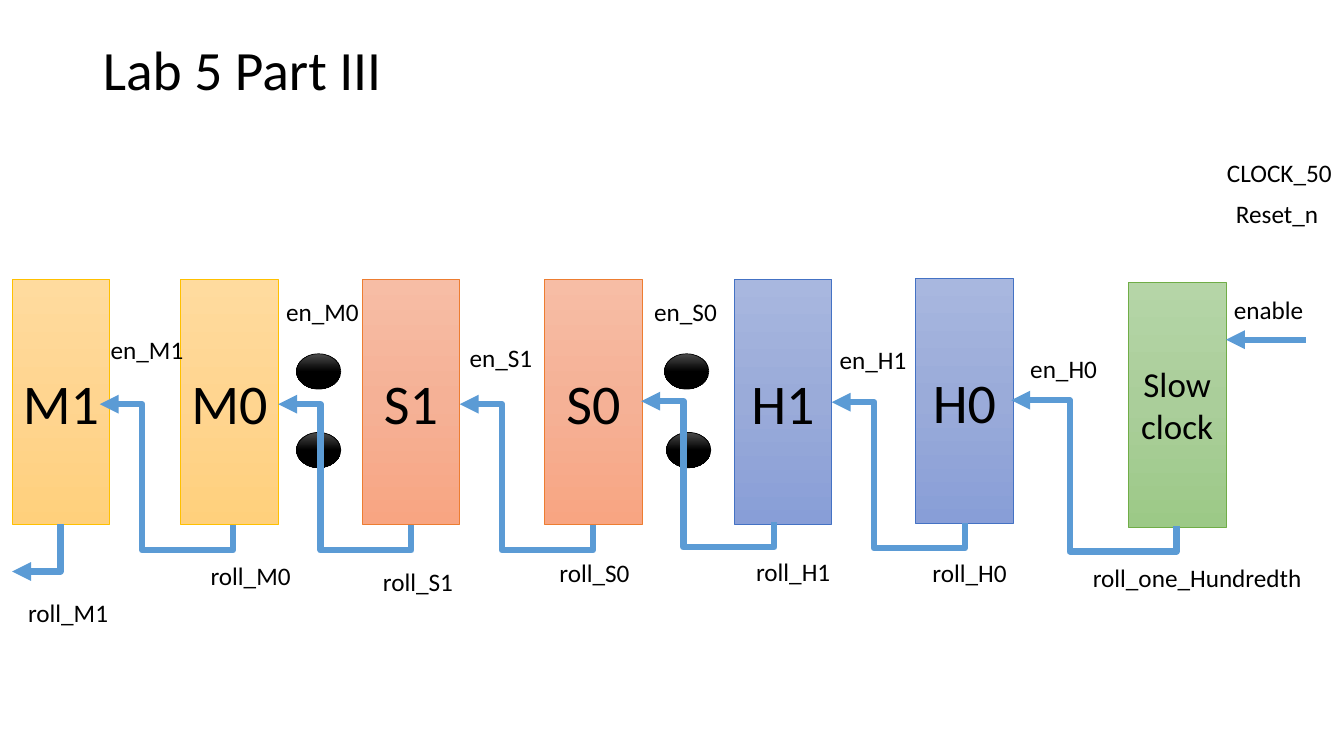
from copy import deepcopy

from lxml import etree
from pptx import Presentation
from pptx import util as u
from pptx.dml.color import RGBColor
from pptx.enum import shapes, text
from pptx.oxml.ns import qn

TITLE = "Lab 5 Part III"
FONT = "Calibri"
BLACK, WIRE = "000000", "5B9BD5"

# gradient stops from top to bottom, then outline
YELLOW = ("FFDB9E", "FFD590", "FFD07C"), "FFC000"
ORANGE = ("F7BDA5", "F5B196", "F8A582"), "ED7D31"
BLUE = ("A8B7DF", "9AABD9", "889ED7"), "4472C4"
GREEN = ("B5D5A7", "AACE9A", "9CC987"), "70AD47"
DOT = ("4B4B4B", BLACK, BLACK), BLACK

COUNTER_SIZE = 0.97, 2.43
COUNTERS = [  # name, left, top, theme, text size
    ("M1", 0.12, 2.77, YELLOW, 40),
    ("M0", 1.79, 2.77, YELLOW, 40),
    ("S1", 3.59, 2.77, ORANGE, 40),
    ("S0", 5.4, 2.77, ORANGE, 40),
    ("H1", 7.28, 2.77, BLUE, 40),
    ("H0", 9.08, 2.76, BLUE, 40),
    ("Slow clock", 11.19, 2.8, GREEN, 25),
]
DOT_SIZE = 0.44, 0.35
DOTS = [(2.94, 3.51), (2.94, 4.29), (6.59, 3.51), (6.61, 4.29)]

DROP = 0.25  # how far a carry wire dips below its counter
CARRIES = [  # start x, start y, width, rise, run along the bottom
    (2.31, 5.21, 1.32, 1.2, 0.9),
    (4.08, 5.21, 1.32, 1.2, 0.9),
    (5.88, 5.21, 1.32, 1.2, 0.9),
    (7.68, 5.18, 1.32, 1.2, 0.9),
    (9.57, 5.19, 1.32, 1.2, 0.9),
    (11.67, 5.22, 1.64, 1.25, 1.06),
]
LAST_CARRY = (0.6, 5.2), (0.12, 5.67)
ENABLE = (12.95, 3.37), (12.16, 3.37)

LABEL_HEIGHT = 0.4
LABELS = [  # text, left, top, width
    ("CLOCK_50", 12.07, 1.51, 1.25),
    ("Reset_n", 12.16, 1.92, 1.03),
    ("enable", 12.14, 2.87, 0.9),
    ("en_M1", 1, 3.27, 0.93),
    ("en_M0", 2.74, 2.89, 0.93),
    ("en_S1", 4.56, 3.35, 0.83),
    ("en_S0", 6.39, 2.89, 0.83),
    ("en_H1", 8.23, 3.37, 0.87),
    ("en_H0", 10.12, 3.46, 0.87),
    ("roll_M1", 0.18, 5.88, 1),
    ("roll_M0", 1.99, 5.51, 1),
    ("roll_S1", 3.7, 5.57, 0.9),
    ("roll_S0", 5.45, 5.48, 0.9),
    ("roll_H1", 7.4, 5.47, 0.95),
    ("roll_H0", 9.15, 5.48, 0.95),
    ("roll_one_Hundredth", 10.74, 5.53, 2.3),
]


def color(hex_string):
    return RGBColor.from_string(hex_string)


def inches(*lengths):
    return [u.Inches(length) for length in lengths]


def write(frame, words, size, align=text.PP_ALIGN.LEFT):
    frame.text = words
    paragraph = frame.paragraphs[0]
    paragraph.alignment = align
    font = paragraph.runs[0].font
    font.name, font.size = FONT, u.Pt(size)
    font.color.rgb = color(BLACK)


def add_block(slide, preset, left, top, size, theme):
    """Add a preset shape with a three-stop vertical gradient."""
    block = slide.shapes.add_shape(preset, *inches(left, top, *size))
    block.shadow.inherit = False
    stops, outline = theme
    block.fill.gradient()
    block.fill.gradient_angle = 270
    stop_list = block._element.spPr.find(".//" + qn("a:gsLst"))
    stop_list.insert(1, deepcopy(stop_list[0]))
    for i, stop in enumerate(block.fill.gradient_stops):
        stop.position = i / 2
        stop.color.rgb = color(stops[i])
    block.line.color.rgb = color(outline)
    block.line.width = u.Pt(0.5)
    return block


def add_arrow(slide, kind, start, end):
    arrow = slide.shapes.add_connector(kind, *inches(*start, *end))
    arrow.line.color.rgb = color(WIRE)
    arrow.line.width = u.Pt(4.5)
    etree.SubElement(arrow.line._get_or_add_ln(), qn("a:tailEnd"), type="triangle")
    etree.SubElement(arrow._element.spPr, qn("a:effectLst"))
    return arrow


def add_bent_arrow(slide, start, end, preset, flip=False, adjustments=()):
    """Add an arrow that leaves vertically: its frame is turned by 90 degrees."""
    (x1, y1), (x2, y2) = start, end
    mid_x, mid_y = (x1 + x2) / 2, (y1 + y2) / 2
    half_w, half_h = abs(y2 - y1) / 2, abs(x2 - x1) / 2
    arrow = add_arrow(slide, shapes.MSO_CONNECTOR.ELBOW,
                      (mid_x - half_w, mid_y - half_h),
                      (mid_x + half_w, mid_y + half_h))
    properties = arrow._element.spPr
    frame = properties.find(qn("a:xfrm"))
    frame.set("rot", str(90 * 60000))
    if flip:
        frame.set("flipH", "1")
    geometry = properties.find(qn("a:prstGeom"))
    geometry.set("prst", preset)
    for i, share in enumerate(adjustments, 1):
        etree.SubElement(geometry.find(qn("a:avLst")), qn("a:gd"),
                         name=f"adj{i}", fmla=f"val {round(share * 100000)}")


def main():
    deck = Presentation()
    deck.slide_width, deck.slide_height = inches(13.33, 7.5)
    slide = deck.slides.add_slide(deck.slide_layouts[5])

    title = slide.shapes.title
    title.left, title.top, title.width, title.height = inches(0.92, 0.4, 11.5, 0.64)
    write(title.text_frame, TITLE, 39.6)
    title.text_frame.auto_size = text.MSO_AUTO_SIZE.NONE
    title.text_frame.vertical_anchor = text.MSO_ANCHOR.MIDDLE
    title.text_frame.paragraphs[0].line_spacing = 0.9

    for name, left, top, theme, size in COUNTERS:
        counter = add_block(slide, shapes.MSO_SHAPE.RECTANGLE, left, top,
                            COUNTER_SIZE, theme)
        write(counter.text_frame, name, size, text.PP_ALIGN.CENTER)
        counter.text_frame.vertical_anchor = text.MSO_ANCHOR.MIDDLE
    for left, top in DOTS:
        add_block(slide, shapes.MSO_SHAPE.OVAL, left, top, DOT_SIZE, DOT)

    for x, y, width, rise, run in CARRIES:
        add_bent_arrow(slide, (x, y), (x - width, y - rise), "bentConnector4",
                       flip=True, adjustments=(-DROP / rise, run / width))
    add_bent_arrow(slide, *LAST_CARRY, "bentConnector2")
    add_arrow(slide, shapes.MSO_CONNECTOR.STRAIGHT, *ENABLE)

    for words, left, top, width in LABELS:
        label = slide.shapes.add_textbox(*inches(left, top, width, LABEL_HEIGHT))
        write(label.text_frame, words, 18)
        label.text_frame.word_wrap = False
        label.text_frame.auto_size = text.MSO_AUTO_SIZE.SHAPE_TO_FIT_TEXT

    deck.save("out.pptx")


if __name__ == "__main__":
    main()
